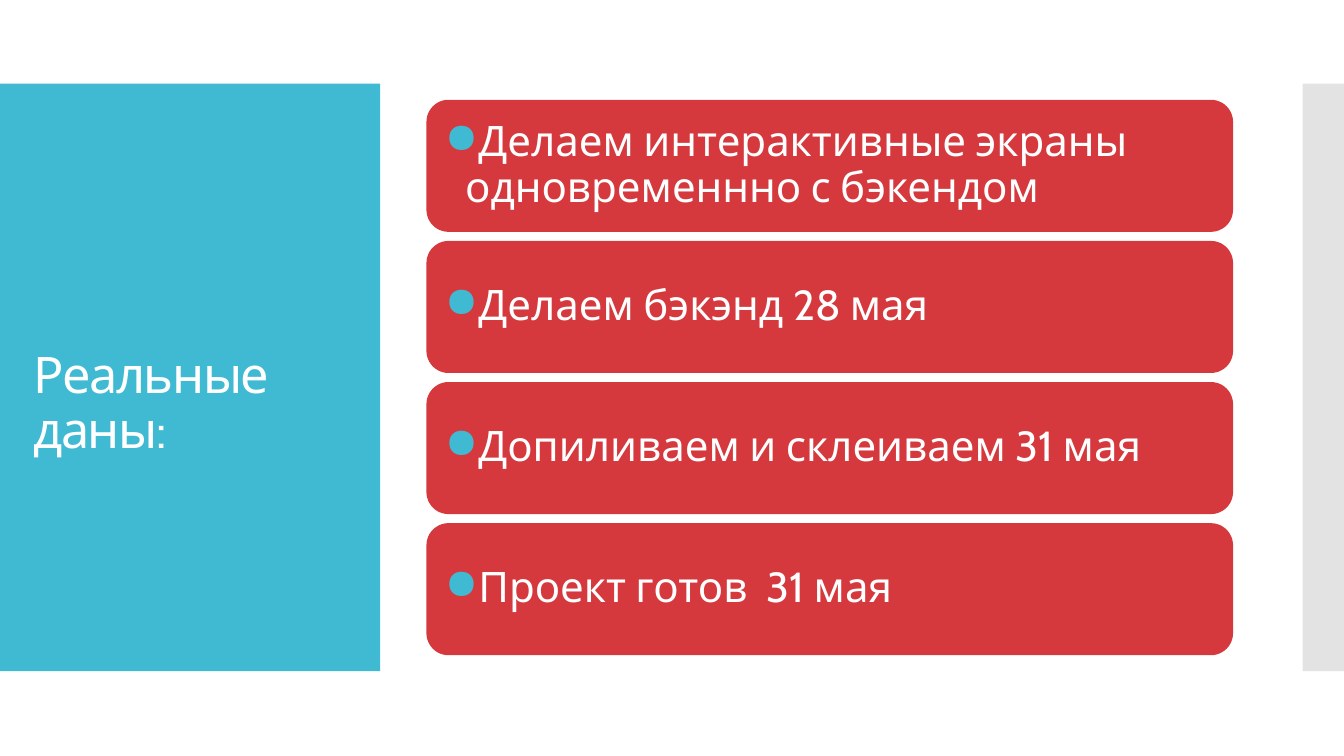
from dataclasses import dataclass

from lxml.etree import SubElement
from pptx import Presentation
from pptx.dml.color import RGBColor
from pptx.enum.shapes import MSO_SHAPE
from pptx.enum.text import MSO_ANCHOR, MSO_AUTO_SIZE, PP_ALIGN
from pptx.oxml.ns import qn
from pptx.util import Inches, Pt


@dataclass
class Theme:
    accent: str = "40BAD2"
    card: str = "D5393D"
    strip: str = "C8C8C8"
    text: str = "FFFFFF"
    font: str = "Cabin"
    title_size: int = 36
    card_size: int = 30


theme = Theme()


def add_block(kind, left, top, width, height, color):
    shape = slide.shapes.add_shape(
        kind, Inches(left), Inches(top), Inches(width), Inches(height)
    )
    shape.shadow.inherit = False
    shape.fill.solid()
    shape.fill.fore_color.rgb = RGBColor.from_string(color)
    shape.line.fill.background()
    return shape


def write_text(shape, text, size, inset):
    frame = shape.text_frame
    frame.word_wrap = True
    frame.auto_size = MSO_AUTO_SIZE.NONE
    frame.vertical_anchor = MSO_ANCHOR.MIDDLE
    frame.margin_left = frame.margin_right = Inches(inset)
    frame.margin_top = frame.margin_bottom = Inches(inset)
    paragraph = frame.paragraphs[0]
    paragraph.alignment = PP_ALIGN.LEFT
    paragraph.line_spacing = 0.9
    run = paragraph.add_run()
    run.text = text
    run.font.name = theme.font
    run.font.size = Pt(size)
    run.font.color.rgb = RGBColor.from_string(theme.text)
    return paragraph


presentation = Presentation()
presentation.slide_width = Inches(13.33)
presentation.slide_height = Inches(7.5)
slide = presentation.slides.add_slide(presentation.slide_layouts[5])

band_top, band_height = 0.83, 5.83
panel = add_block(MSO_SHAPE.RECTANGLE, 0, band_top, 3.77, band_height, theme.accent)
strip = add_block(
    MSO_SHAPE.RECTANGLE, 12.92, band_top, 13.33 - 12.92, band_height, theme.strip
)
strip_color = strip.fill._xPr.find(qn("a:solidFill"))[0]
SubElement(strip_color, qn("a:alpha")).set("val", "50000")

title = slide.shapes.title
title.left, title.top = Inches(0.28), Inches(1.23)
title.width, title.height = Inches(3.22), Inches(5.03)
title_paragraph = write_text(title, "Реальные даны:", theme.title_size, 0.05)
title_paragraph.runs[0].font._element.set("spc", "-100")
title.text_frame.margin_top = Inches(0.59)
for block in (panel, strip):
    title.element.addprevious(block.element)

steps = [
    "Делаем интерактивные экраны одновременнно с бэкендом",
    "Делаем бэкэнд 28 мая",
    "Допиливаем и склеиваем 31 мая",
    "Проект готов  31 мая",
]
first_top, row_pitch, card_height = 0.99, 1.4, 1.31
for row, step in enumerate(steps):
    card = add_block(
        MSO_SHAPE.ROUNDED_RECTANGLE,
        4.23, first_top + row * row_pitch, 8, card_height, theme.card,
    )
    card.adjustments[0] = 0.167
    paragraph = write_text(card, step, theme.card_size, 0.12)
    paragraph.space_before = Pt(12)
    properties = paragraph._p.get_or_add_pPr()
    properties.set("marL", str(Inches(0.2)))
    properties.set("indent", str(-Inches(0.2)))
    bullet_color = SubElement(properties, qn("a:buClr"))
    SubElement(bullet_color, qn("a:srgbClr")).set("val", theme.accent)
    SubElement(properties, qn("a:buChar")).set("char", "●")

presentation.save("out.pptx")
